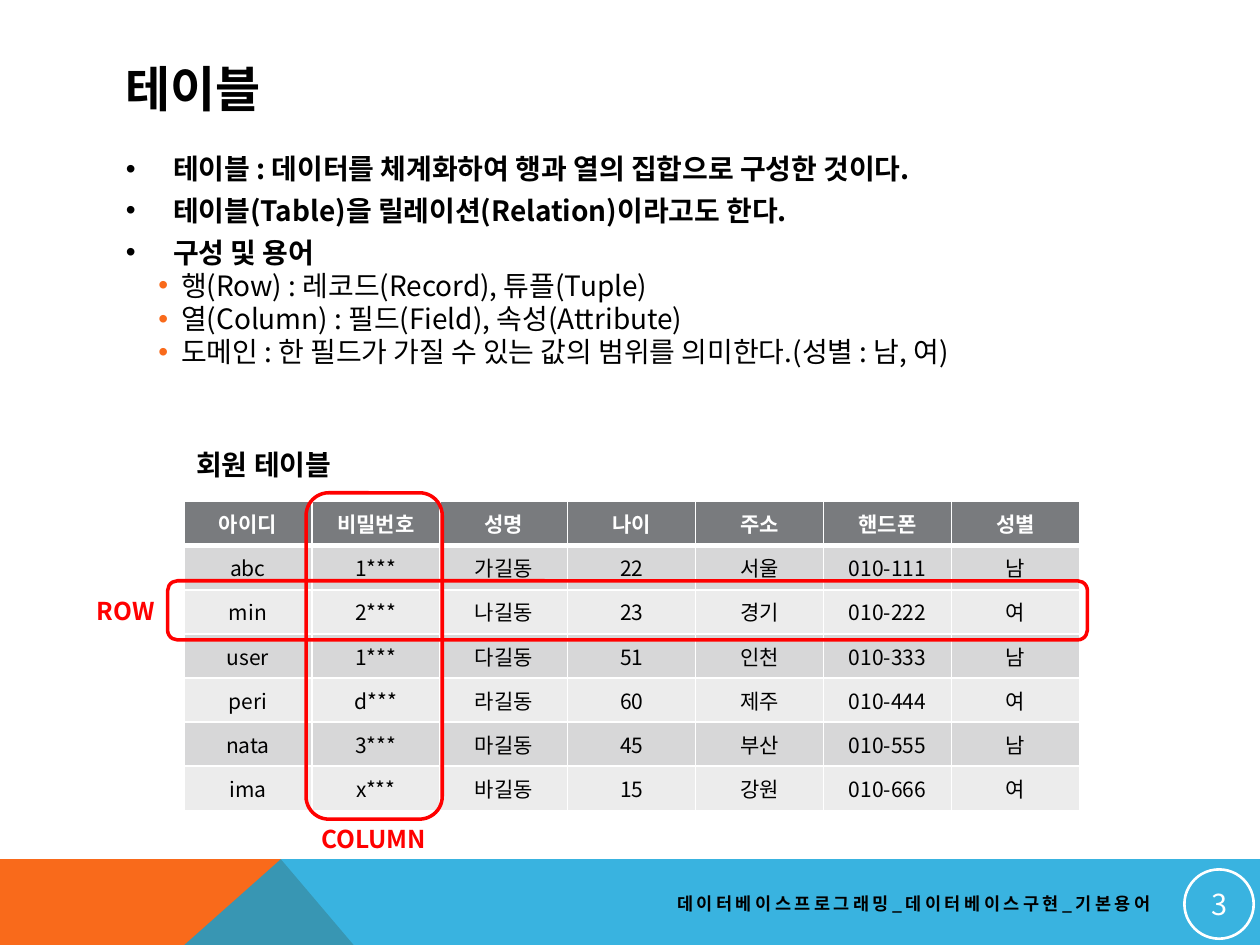
from dataclasses import dataclass

from lxml import etree
from pptx import Presentation
from pptx.dml.color import RGBColor
from pptx.enum.shapes import MSO_SHAPE
from pptx.enum.text import MSO_ANCHOR, PP_ALIGN
from pptx.oxml.ns import qn
from pptx.util import Pt

TOP, MIDDLE = MSO_ANCHOR.TOP, MSO_ANCHOR.MIDDLE
LEFT, CENTER, RIGHT = PP_ALIGN.LEFT, PP_ALIGN.CENTER, PP_ALIGN.RIGHT
OVAL, ROUNDED = MSO_SHAPE.OVAL, MSO_SHAPE.ROUNDED_RECTANGLE


@dataclass(frozen=True)
class Theme:
    """Colours, font and type sizes."""
    font: str = "Noto Sans CJK KR"
    black: str = "000000"
    white: str = "FFFFFF"
    orange: str = "F96A1B"
    blue: str = "08A1D9"
    red: str = "FF0000"
    header: str = "797B7E"
    bands: tuple = ("D7D7D8", "ECECEC")
    title: float = 28
    body: float = 16
    label: float = 14
    cell: float = 12
    footer: float = 10
    number: float = 16.5


T = Theme()
POINTS = [
    (0, "테이블 : 데이터를 체계화하여 행과 열의 집합으로 구성한 것이다."),
    (0, "테이블(Table)을 릴레이션(Relation)이라고도 한다."),
    (0, "구성 및 용어"),
    (1, "행(Row) : 레코드(Record), 튜플(Tuple)"),
    (1, "열(Column) : 필드(Field), 속성(Attribute)"),
    (1, "도메인 : 한 필드가 가질 수 있는 값의 범위를 의미한다.(성별 : 남, 여)"),
]
MEMBERS = [
    ("아이디", "비밀번호", "성명", "나이", "주소", "핸드폰", "성별"),
    ("abc", "1***", "가길동", "22", "서울", "010-111", "남"),
    ("min", "2***", "나길동", "23", "경기", "010-222", "여"),
    ("user", "1***", "다길동", "51", "인천", "010-333", "남"),
    ("peri", "d***", "라길동", "60", "제주", "010-444", "여"),
    ("nata", "3***", "마길동", "45", "부산", "010-555", "남"),
    ("ima", "x***", "바길동", "15", "강원", "010-666", "여"),
]


def rgb(color):
    """Turn a hex string into a colour."""
    return RGBColor.from_string(color)


def pts(*values):
    """Turn numbers into point lengths."""
    return [Pt(v) for v in values]


def write(p, text, size, color=T.black, bold=True, align=LEFT):
    """Fill a paragraph with one formatted run and return the run."""
    p.alignment = align
    r = p.add_run()
    r.text = text
    for name, value in {"name": T.font, "size": Pt(size), "bold": bold}.items():
        setattr(r.font, name, value)
    r.font.color.rgb = rgb(color)
    return r


def add_text(s, box, text, size, anchor=TOP, wrap=True, **style):
    """Add a text box holding one line and return its run."""
    tf = s.shapes.add_textbox(*pts(*box)).text_frame
    tf.word_wrap, tf.vertical_anchor = wrap, anchor
    return write(tf.paragraphs[0], text, size, **style)


def add_outline(s, kind, box, color, width):
    """Add an unfilled preset shape with a coloured outline."""
    sp = s.shapes.add_shape(kind, *pts(*box))
    sp.shadow.inherit = False
    sp.fill.background()
    sp.line.color.rgb, sp.line.width = rgb(color), Pt(width)
    return sp


def add_polygon(s, points, color, alpha=100):
    """Add a filled polygon with an opacity in percent."""
    fb = s.shapes.build_freeform(*pts(*points[0]))
    fb.add_line_segments([pts(*pt) for pt in points[1:]], close=True)
    sp = fb.convert_to_shape()
    sp.shadow.inherit = False
    sp.fill.solid()
    sp.fill.fore_color.rgb = rgb(color)
    sp.line.fill.background()
    if alpha < 100:
        clr = sp.fill._xPr.find(qn("a:solidFill"))[0]
        etree.SubElement(clr, qn("a:alpha"), val=str(alpha * 1000))


def add_band(s, box):
    """Add the two overlapping colour bands at the foot of the slide."""
    x, y, w, h = box
    peak, bottom = x + 160.5, y + h
    add_polygon(s, [(x, bottom), (x, y), (peak, y), (x + 281.5, bottom)], T.orange)
    add_polygon(s, [(x, bottom), (peak, y), (x + w, y), (x + w, bottom)], T.blue, 80)


def add_footer(s, box):
    """Add the course name and the page number in its ring."""
    x, y, w, h = box
    r = add_text(s, (x, y + 8.6, 372.2, 21.6),
                 "데이터베이스프로그래밍_데이터베이스구현_기본용어",
                 T.footer, anchor=MIDDLE, align=RIGHT)
    r.font._element.set("spc", "200")
    tf = add_outline(s, OVAL, (x + w - h, y, h, h), T.white, 1.5).text_frame
    for side in ("left", "top", "right", "bottom"):
        setattr(tf, "margin_" + side, Pt(0.7))
    tf.vertical_anchor = MIDDLE
    write(tf.paragraphs[0], "3", T.number, T.white, False, CENTER)


def add_points(s, box):
    """Add the two-level bullet list."""
    levels = [
        {"indent": (27, -27), "before": 8, "bullet": T.black, "bold": True},
        {"indent": (31.7, -13), "before": 3, "bullet": T.orange, "bold": False},
    ]
    tf = s.shapes.add_textbox(*pts(*box)).text_frame
    tf.word_wrap = True
    for i, (level, text) in enumerate(POINTS):
        fmt = levels[level]
        p = tf.add_paragraph() if i else tf.paragraphs[0]
        write(p, text, T.body, bold=fmt["bold"])
        p.level, p.line_spacing, p.space_before = level, 0.83, Pt(fmt["before"])
        pPr = p._p.get_or_add_pPr()
        for name, value in zip(("marL", "indent"), fmt["indent"]):
            pPr.set(name, str(Pt(value)))
        clr = etree.SubElement(pPr, qn("a:buClr"))
        etree.SubElement(clr, qn("a:srgbClr"), val=fmt["bullet"])
        etree.SubElement(pPr, qn("a:buFont"), typeface="Arial")
        etree.SubElement(pPr, qn("a:buChar"), char="•")


def style_cell(cell, text, row):
    """Write one table cell and set its fill and borders."""
    head = row == 0
    fill = T.header if head else T.bands[(row - 1) % 2]
    cell.vertical_anchor = MIDDLE
    write(cell.text_frame.paragraphs[0], text, T.cell,
          T.white if head else T.black, head, CENTER)
    widths = {"L": 1, "R": 1, "T": 3 if row == 1 else 1, "B": 3 if head else 1}
    for side, width in widths.items():
        ln = etree.SubElement(cell._tc.get_or_add_tcPr(), qn("a:ln" + side),
                              w=str(Pt(width)))
        solid = etree.SubElement(ln, qn("a:solidFill"))
        etree.SubElement(solid, qn("a:srgbClr"), val=T.white)
    cell.fill.solid()
    cell.fill.fore_color.rgb = rgb(fill)


def add_members(s, box):
    """Add the member table with its caption and red row and column frames."""
    x, y, w, h = box
    rows, cols = len(MEMBERS), len(MEMBERS[0])
    table = s.shapes.add_table(rows, cols, *pts(*box)).table
    for col in table.columns:
        col.width = Pt(w / cols)
    for i, values in enumerate(MEMBERS):
        table.rows[i].height = Pt(h / rows)
        for j, text in enumerate(values):
            style_cell(table.cell(i, j), text, i)
    add_text(s, (x, y - 34.5, 101, 26.6), "회원 테이블", T.body, wrap=False)
    frames = [
        ("ROW", (x - 9.3, y + 45.3, 525.6, 33.8), (x - 56.9, y + 50.4, 49, 24.5)),
        ("COLUMN", (x + 69.8, y - 5, 77.8, 186.5), (x + 71.3, y + 180.7, 76.3, 24.5)),
    ]
    for name, frame, label in frames:
        add_outline(s, ROUNDED, frame, T.red, 2)
        add_text(s, label, name, T.label, wrap=False, color=T.red)


def build():
    """Build the slide and save it."""
    prs = Presentation()
    prs.slide_width, prs.slide_height = pts(720, 540)
    s = prs.slides.add_slide(prs.slide_layouts[6])
    add_band(s, (0, 491, 720, 142.6))
    add_text(s, (64.8, 28.8, 592, 43.2), "테이블", T.title, anchor=MIDDLE)
    add_points(s, (64.8, 86.4, 592, 281.5))
    add_footer(s, (292.3, 496.8, 424.1, 39.6))
    add_members(s, (105.1, 286.6, 511.9, 176.4))
    prs.save("out.pptx")


build()
